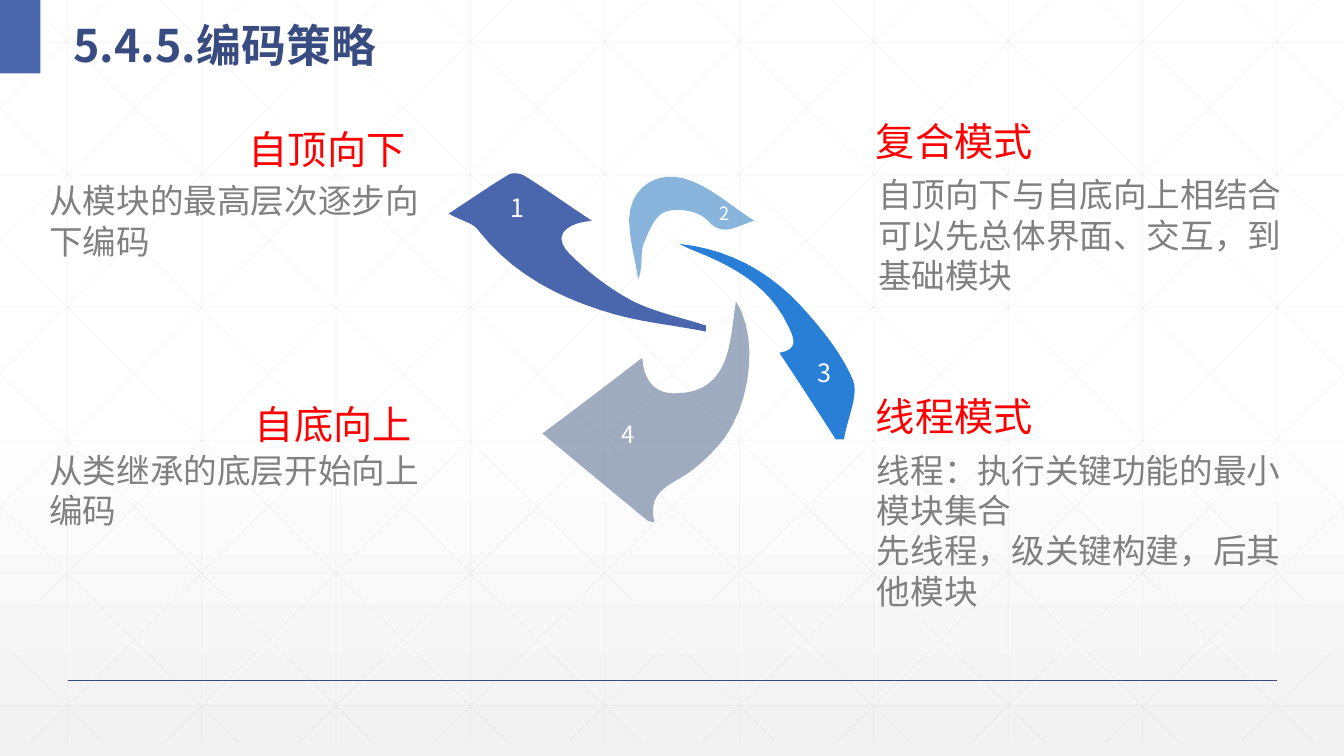
from lxml.etree import SubElement
from pptx import Presentation
from pptx.dml.color import RGBColor
from pptx.enum.shapes import MSO_CONNECTOR, MSO_SHAPE
from pptx.enum.text import MSO_ANCHOR, PP_ALIGN
from pptx.oxml.ns import qn
from pptx.util import Inches, Pt

FONT = "Noto Sans CJK SC"
WHITE = RGBColor(0xFF, 0xFF, 0xFF)
PALE_GRAY = RGBColor(0xF2, 0xF2, 0xF2)
GRID_GRAY = RGBColor(0xD9, 0xD9, 0xD9)
TEXT_GRAY = RGBColor(0x80, 0x80, 0x80)
RED = RGBColor(0xFF, 0x00, 0x00)
NAVY = RGBColor(0x38, 0x4C, 0x81)
INDIGO = RGBColor(0x4A, 0x66, 0xAC)
LIGHT_BLUE = RGBColor(0x62, 0x9D, 0xD1)
BLUE = RGBColor(0x29, 0x7F, 0xD5)
SLATE = RGBColor(0x7F, 0x8F, 0xA9)

SLIDE_WIDTH, SLIDE_HEIGHT = 13.33, 7.5
GRID_HEIGHT = 7.37
GRID_STEP = 4 / 3
ROW_STEP = 1.316
DIAGONAL_RUN = 7.45
CURVE_STEPS = 10

TITLE = "5.4.5.编码策略"
# heading, heading box, heading alignment, body paragraphs, body box
STRATEGIES = [
    ("自顶向下", (2.35, 1.19, 1.77, 0.57), PP_ALIGN.RIGHT,
     ["从模块的最高层次逐步向下编码"], (0.39, 1.71, 3.96, 1.03)),
    ("复合模式", (8.59, 1.1, 1.77, 0.6), PP_ALIGN.LEFT,
     ["自顶向下与自底向上相结合", "可以先总体界面、交互，到基础模块"], (8.61, 1.65, 4.22, 1.58)),
    ("自底向上", (2.41, 3.92, 1.77, 0.57), PP_ALIGN.RIGHT,
     ["从类继承的底层开始向上编码"], (0.39, 4.38, 3.96, 1.03)),
    ("线程模式", (8.59, 3.84, 1.77, 0.57), PP_ALIGN.LEFT,
     ["线程：执行关键功能的最小模块集合", "先线程，级关键构建，后其他模块"], (8.6, 4.38, 4.23, 2)),
]
# number, its centre and size, colour, opacity, start point, then segments:
# two values are a line end, six are two control points and a curve end
ARROWS = [
    ("1", (5.13, 2.08), 18, INDIGO, 100, (5.87, 2.19), [
        (5.57, 2.22, 5.49, 2.36, 5.65, 2.52), (5.83, 2.7, 6.05, 2.87, 6.28, 2.99),
        (6.5, 3.1, 6.76, 3.15, 7, 3.23), (7, 3.29),
        (6.7, 3.23, 6.39, 3.2, 6.1, 3.12), (5.57, 2.97, 5.09, 2.73, 4.74, 2.28),
        (4.69, 2.21, 4.57, 2.19, 4.45, 2.12), (4.65, 1.99, 4.85, 1.85, 5.05, 1.73),
        (5.09, 1.71, 5.17, 1.72, 5.21, 1.75), (5.42, 1.88, 5.61, 2.02, 5.87, 2.19)]),
    ("2", (7.19, 2.14), 13, LIGHT_BLUE, 75, (7.48, 2.19), [
        (7.28, 2.25, 7.17, 2.36, 7.01, 2.18), (6.93, 2.09, 6.72, 2.06, 6.6, 2.1),
        (6.5, 2.13, 6.43, 2.3, 6.38, 2.43), (6.35, 2.53, 6.38, 2.65, 6.33, 2.77),
        (6.3, 2.57, 6.24, 2.37, 6.24, 2.17), (6.25, 1.84, 6.55, 1.66, 6.87, 1.8),
        (7.07, 1.88, 7.25, 2.04, 7.48, 2.19)]),
    ("3", (8.18, 3.71), 18, BLUE, 100, (8.29, 4.36), [
        (8.11, 4.08, 7.93, 3.8, 7.73, 3.5), (7.92, 3.47, 7.88, 3.36, 7.82, 3.24),
        (7.66, 2.89, 7.36, 2.69, 7.01, 2.54), (6.92, 2.5, 6.83, 2.47, 6.74, 2.42),
        (7.21, 2.47, 7.61, 2.68, 7.93, 3.02), (8.13, 3.24, 8.34, 3.49, 8.46, 3.77),
        (8.52, 3.92, 8.4, 4.16, 8.37, 4.36)]),
    ("4", (6.23, 4.33), 17, SLATE, 75, (6.43, 5.17), [
        (6.09, 4.89, 5.75, 4.61, 5.38, 4.3), (5.72, 4.05, 6.03, 3.81, 6.37, 3.55),
        (6.39, 3.81, 6.52, 3.92, 6.74, 3.9), (6.98, 3.89, 7.13, 3.76, 7.2, 3.55),
        (7.26, 3.37, 7.27, 3.17, 7.3, 2.99), (7.51, 3.31, 7.47, 3.94, 7.19, 4.34),
        (7.08, 4.48, 6.95, 4.61, 6.8, 4.71), (6.63, 4.82, 6.42, 4.88, 6.49, 5.18)]),
]


def set_opacity(fill_parent, percent):
    color = next(fill_parent.iter(qn("a:srgbClr")))
    SubElement(color, qn("a:alpha")).set("val", str(percent * 1000))


def add_line(slide, start, end, color, width, opacity=100):
    line = slide.shapes.add_connector(
        MSO_CONNECTOR.STRAIGHT, *(Inches(value) for value in (*start, *end)))
    line.line.color.rgb = color
    line.line.width = Pt(width)
    properties = line._element.spPr
    if opacity < 100:
        set_opacity(properties, opacity)
    SubElement(properties, qn("a:effectLst"))


def add_text(slide, box, lines, size, color, align=PP_ALIGN.LEFT,
             anchor=MSO_ANCHOR.MIDDLE, wrap=True, bold=False, spacing=1.0):
    shape = slide.shapes.add_textbox(*(Inches(value) for value in box))
    frame = shape.text_frame
    frame.word_wrap = wrap
    frame.vertical_anchor = anchor
    frame.text = "\n".join(lines)
    for paragraph in frame.paragraphs:
        paragraph.alignment = align
        paragraph.line_spacing = spacing
        for run in paragraph.runs:
            run.font.size = Pt(size)
            run.font.bold = bold
            run.font.color.rgb = color
            run.font.name = FONT
            SubElement(run.font._element, qn("a:ea")).set("typeface", FONT)
    return shape


def outline_points(start, segments):
    """Return the points that follow an outline of lines and cubic curves."""
    points = [start]
    for segment in segments:
        if len(segment) == 2:
            points.append(segment)
            continue
        corners = [points[-1], segment[:2], segment[2:4], segment[4:]]
        for step in range(1, CURVE_STEPS + 1):
            t = step / CURVE_STEPS
            weights = ((1 - t) ** 3, 3 * t * (1 - t) ** 2, 3 * t * t * (1 - t), t ** 3)
            points.append(tuple(
                sum(weight * corner[axis] for weight, corner in zip(weights, corners))
                for axis in (0, 1)))
    return points


def add_arrow(slide, number, center, size, color, opacity, start, segments):
    points = [(Inches(x), Inches(y)) for x, y in outline_points(start, segments)]
    builder = slide.shapes.build_freeform(*points[0])
    builder.add_line_segments(points[1:], close=True)
    arrow = builder.convert_to_shape()
    arrow.shadow.inherit = False
    arrow.fill.solid()
    arrow.fill.fore_color.rgb = color
    arrow.line.fill.background()
    if opacity < 100:
        set_opacity(arrow._element.spPr, opacity)
    x, y = center
    add_text(slide, (x - 0.25, y - 0.27, 0.5, 0.5), [number], size, WHITE, PP_ALIGN.CENTER)


def add_grid(slide):
    lines = []
    for column in range(10):
        x = GRID_STEP * (column + 0.5)
        lines.append(((x, 0), (x, GRID_HEIGHT)))
    for row in range(6):
        y = 0.42 + ROW_STEP * row
        lines.append(((0, y), (SLIDE_WIDTH, y)))
    slope = GRID_HEIGHT / DIAGONAL_RUN
    for column in range(-5, 10):
        origin = 0.25 + GRID_STEP * column
        left = max(origin, 0)
        right = min(origin + DIAGONAL_RUN, SLIDE_WIDTH)
        top, bottom = (left - origin) * slope, (right - origin) * slope
        lines.append(((left, top), (right, bottom)))
        lines.append(((SLIDE_WIDTH - left, top), (SLIDE_WIDTH - right, bottom)))
    for start, end in lines:
        add_line(slide, start, end, GRID_GRAY, 0.5, opacity=25)


def main():
    presentation = Presentation()
    presentation.slide_width = Inches(SLIDE_WIDTH)
    presentation.slide_height = Inches(SLIDE_HEIGHT)
    slide = presentation.slides.add_slide(presentation.slide_layouts[6])

    background = slide.background.fill
    background.gradient()
    background.gradient_angle = 270
    for stop, position, color in zip(background.gradient_stops, (0.53, 1), (WHITE, PALE_GRAY)):
        stop.position = position
        stop.color.rgb = color

    add_grid(slide)
    add_line(slide, (0.67, 6.75), (12.67, 6.75), NAVY, 1)
    corner = slide.shapes.add_shape(MSO_SHAPE.RECTANGLE, 0, 0, Inches(0.4), Inches(0.73))
    corner.shadow.inherit = False
    corner.fill.solid()
    corner.fill.fore_color.rgb = INDIGO
    corner.line.fill.background()

    for heading, heading_box, align, body, body_box in STRATEGIES:
        add_text(slide, heading_box, [heading], 28, RED, align, wrap=False)
        body_shape = add_text(slide, body_box, body, 24, TEXT_GRAY, anchor=MSO_ANCHOR.TOP)
        body_shape.text_frame.margin_top = Inches(0.08)
    for arrow in ARROWS:
        add_arrow(slide, *arrow)
    add_text(slide, (0.63, 0, 5.69, 0.73), [TITLE], 32, NAVY, bold=True, spacing=1.3)

    presentation.save("out.pptx")


if __name__ == "__main__":
    main()
